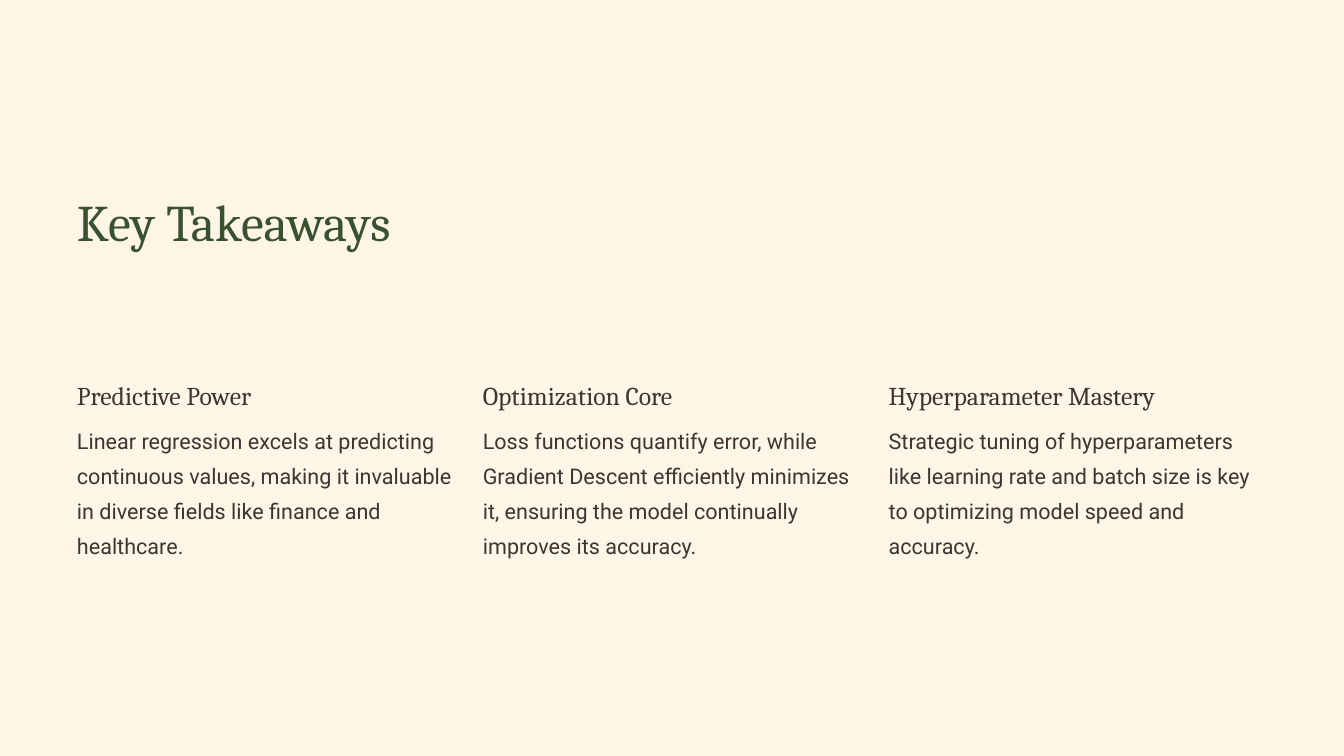
from pptx import Presentation
from pptx.dml.color import RGBColor
from pptx.enum.shapes import MSO_SHAPE
from pptx.enum.text import MSO_ANCHOR, MSO_AUTO_SIZE, PP_ALIGN
from pptx.util import Cm, Pt

SAND, CREAM, GREEN, BROWN = "F2E4CF", "FEF5E7", "38512F", "3A3630"
WIDTH, HEIGHT = 50.8, 28.58
MARGIN = 2.91
COLUMN_WIDTH, COLUMN_STEP = 14.3, 15.34
HEADING_HEIGHT, BODY_OFFSET = 1.27, 1.52

TAKEAWAYS = [
    ("Predictive Power", 9.78, 7.11,
     "Linear regression excels at predicting continuous values, making it "
     "invaluable in diverse fields like finance and healthcare."),
    ("Optimization Core", 9.78, 7.11,
     "Loss functions quantify error, while Gradient Descent efficiently "
     "minimizes it, ensuring the model continually improves its accuracy."),
    ("Hyperparameter Mastery", 11.51, 5.76,
     "Strategic tuning of hyperparameters like learning rate and batch size "
     "is key to optimizing model speed and accuracy."),
]


def color(value):
    return RGBColor.from_string(value)


def write(sp, text, font, size, fill, spacing):
    tf = sp.text_frame
    tf.word_wrap = True
    tf.auto_size = MSO_AUTO_SIZE.NONE
    tf.vertical_anchor = MSO_ANCHOR.TOP
    tf.margin_left = tf.margin_top = tf.margin_right = tf.margin_bottom = 0
    p = tf.paragraphs[0]
    p.alignment = PP_ALIGN.LEFT
    p.line_spacing = Pt(spacing)
    r = p.add_run()
    r.text = text
    r.font.name = font
    r.font.size = Pt(size)
    r.font.color.rgb = color(fill)


def add_backdrop(s, left, top, width, height):
    for fill in (SAND, CREAM):
        sp = s.shapes.add_shape(MSO_SHAPE.RECTANGLE, Cm(left), Cm(top),
                                Cm(width), Cm(height))
        sp.shadow.inherit = False
        sp.fill.solid()
        sp.fill.fore_color.rgb = color(fill)
        sp.line.fill.background()
        s.shapes.title.element.addprevious(sp.element)


def add_title(s, left, top, width, height):
    sp = s.shapes.title
    sp.left, sp.top, sp.width, sp.height = Cm(left), Cm(top), Cm(width), Cm(height)
    write(sp, "Key Takeaways", "Cambria", 55, GREEN, 68.8)


def add_takeaway(s, left, top, width, height, heading, heading_width, body):
    sp = s.shapes.add_textbox(Cm(left), Cm(top),
                              Cm(heading_width), Cm(HEADING_HEIGHT))
    write(sp, heading, "Cambria", 27.5, BROWN, 34.4)
    sp = s.shapes.add_textbox(Cm(left), Cm(top + BODY_OFFSET),
                              Cm(width), Cm(height - BODY_OFFSET))
    write(sp, body, "Roboto", 23.1, BROWN, 37.5)


def main():
    prs = Presentation()
    prs.slide_width, prs.slide_height = Cm(WIDTH), Cm(HEIGHT)
    s = prs.slides.add_slide(prs.slide_layouts[5])
    add_backdrop(s, 0, 0, WIDTH, HEIGHT)
    add_title(s, MARGIN, 7.09, 19.56, 2.49)
    for i, (heading, heading_width, height, body) in enumerate(TAKEAWAYS):
        add_takeaway(s, MARGIN + i * COLUMN_STEP, 14.31, COLUMN_WIDTH, height,
                     heading, heading_width, body)
    prs.save("out.pptx")


if __name__ == "__main__":
    main()
